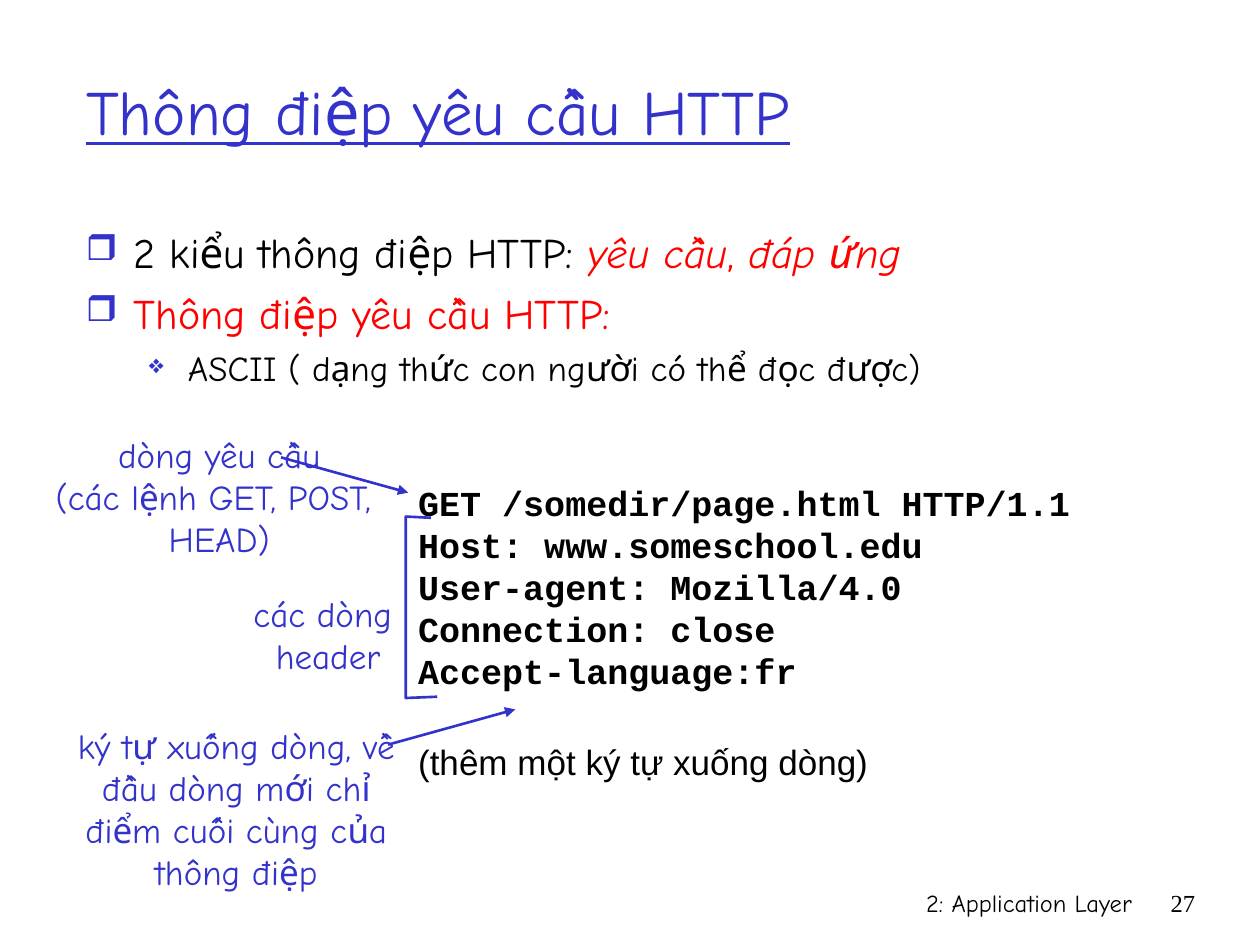
from dataclasses import dataclass
from typing import Optional

from lxml.etree import SubElement
from pptx import Presentation
from pptx.dml.color import RGBColor
from pptx.enum.shapes import MSO_CONNECTOR as Conn
from pptx.enum.text import MSO_ANCHOR as Anchor, MSO_AUTO_SIZE as Fit, PP_ALIGN as Align
from pptx.oxml.ns import qn
from pptx.util import Emu, Inches, Pt

COLS, ROWS = 120, 90
WIDTH, HEIGHT = Inches(10), Inches(7.5)
BLUE, RED, BLACK = "3333CC", "FF0000", "000000"
COMIC, MONO, SANS, SERIF = "Comic Neue", "Courier New", "Arial", "Times New Roman"


@dataclass
class Run:
    text: str
    size: int = 20
    font: str = COMIC
    color: str = BLUE
    bold: bool = False
    italic: bool = False
    underline: bool = False


@dataclass
class Bullet:
    char: str
    percent: int
    margin: float
    hang: float


@dataclass
class Para:
    runs: list[Run]
    align: Align = Align.LEFT
    before: float = 0
    bullet: Optional[Bullet] = None
    level: int = 0


@dataclass
class Box:
    left: float
    top: float
    width: float
    height: float
    paras: list[Para]
    wrap: bool = True
    grow: bool = False


def x(col: float) -> Emu:
    return Emu(round(WIDTH * col / COLS))


def y(row: float) -> Emu:
    return Emu(round(HEIGHT * row / ROWS))


def rgb(color: str) -> RGBColor:
    return RGBColor.from_string(color)


def add_bullet(p, bullet: Bullet) -> None:
    pPr = p._p.get_or_add_pPr()
    pPr.set("marL", str(Inches(bullet.margin)))
    pPr.set("indent", str(-Inches(bullet.hang)))
    SubElement(SubElement(pPr, qn("a:buClr")), qn("a:srgbClr"), val=BLUE)
    SubElement(pPr, qn("a:buSzPct"), val=str(bullet.percent * 1000))
    SubElement(pPr, qn("a:buChar"), char=bullet.char)


def fill_text(tf, paras: list[Para]) -> None:
    for i, para in enumerate(paras):
        p = tf.add_paragraph() if i else tf.paragraphs[0]
        p.alignment, p.level = para.align, para.level
        if para.bullet:
            add_bullet(p, para.bullet)
        if i and para.before:
            p.space_before = Pt(para.before)
        for run in para.runs:
            r = p.add_run()
            r.text = run.text
            f = r.font
            f.size, f.name, f.color.rgb = Pt(run.size), run.font, rgb(run.color)
            f.bold, f.italic, f.underline = run.bold, run.italic, run.underline


def add_box(s, box: Box) -> None:
    sp = s.shapes.add_textbox(x(box.left), y(box.top), x(box.width), y(box.height))
    tf = sp.text_frame
    tf.word_wrap = box.wrap
    tf.auto_size = Fit.SHAPE_TO_FIT_TEXT if box.grow else Fit.NONE
    fill_text(tf, box.paras)


def style_line(sp) -> None:
    sp.line.color.rgb, sp.line.width = rgb(BLUE), Pt(1.5)


def add_arrow(s, x1: float, y1: float, x2: float, y2: float) -> None:
    sp = s.shapes.add_connector(Conn.STRAIGHT, x(x1), y(y1), x(x2), y(y2))
    style_line(sp)
    SubElement(sp.line._get_or_add_ln(), qn("a:tailEnd"), type="triangle")
    SubElement(sp._element.spPr, qn("a:effectLst"))


def add_bracket(s, points: list[tuple[float, float]]) -> None:
    (x0, y0), *rest = [(x(col), y(row)) for col, row in points]
    builder = s.shapes.build_freeform(x0, y0)
    builder.add_line_segments(rest, close=False)
    sp = builder.convert_to_shape()
    sp.fill.background()
    sp.shadow.inherit = False
    style_line(sp)


def labels(lines: list[str], align: Align) -> list[Para]:
    return [Para([Run(line)], align) for line in lines]


SQUARE = Bullet("❒", 85, 0.38, 0.38)
DIAMOND = Bullet("❖", 75, 0.81, 0.31)
TITLE = [Para([Run("Thông điệp yêu cầu HTTP", 36, underline=True)])]
POINTS = [
    Para([Run("2 kiểu thông điệp HTTP: ", 24, color=BLACK),
          Run("yêu cầu", 24, color=RED, italic=True),
          Run(", ", 24, color=RED),
          Run("đáp ứng", 24, color=RED, italic=True)], bullet=SQUARE),
    Para([Run("Thông điệp yêu cầu HTTP:", 24, color=RED)], before=6, bullet=SQUARE),
    Para([Run("ASCII ( dạng thức con người có thể đọc được)", color=BLACK)],
         before=5, bullet=DIAMOND, level=1),
]
REQUEST = [
    "GET /somedir/page.html HTTP/1.1",
    "Host: www.someschool.edu",
    "User-agent: Mozilla/4.0",
    "Connection: close",
    "Accept-language:fr",
]
MESSAGE = [Para([Run(line, font=MONO, color=BLACK, bold=True)]) for line in REQUEST]
MESSAGE.append(Para([Run("(thêm một ký tự xuống dòng)", font=SANS, color=BLACK)], before=28))
BOXES = [
    Box(71, 84, 38, 6, [Para([Run("2: Application Layer", 14, color=BLACK)], Align.RIGHT)]),
    Box(109, 84, 6, 6, [Para([Run("27", 14, SERIF, BLACK)], Align.RIGHT)]),
    Box(7, 21, 102, 61, POINTS),
    Box(38.64, 45.24, 64.56, 30, MESSAGE, wrap=False, grow=True),
    Box(3.84, 40.68, 34.08, 13.2,
        labels(["dòng yêu cầu", "(các lệnh GET, POST, ", "HEAD)"], Align.CENTER),
        wrap=False, grow=True),
    Box(21.84, 55.8, 16.68, 9.24, labels(["các dòng ", "header "], Align.RIGHT),
        wrap=False, grow=True),
    Box(5.88, 68.4, 33.24, 17.28,
        labels(["ký tự xuống dòng, về đầu dòng mới chỉ điểm cuối cùng của thông điệp"],
               Align.CENTER), grow=True),
]
ARROWS = [(26.76, 43.56, 38.88, 46.92), (36.96, 70.92, 49.08, 67.56)]
BRACKET = [(41.04, 49.32), (38.64, 49.2), (38.64, 66.48), (41.64, 66.36)]


def main() -> None:
    prs = Presentation()
    prs.slide_width, prs.slide_height = WIDTH, HEIGHT
    s = prs.slides.add_slide(prs.slide_layouts[5])
    sp = s.shapes.title
    sp.left, sp.top, sp.width, sp.height = x(7), y(3), x(102), y(15)
    tf = sp.text_frame
    tf.vertical_anchor, tf.auto_size = Anchor.MIDDLE, Fit.NONE
    fill_text(tf, TITLE)
    for box in BOXES:
        add_box(s, box)
    for arrow in ARROWS:
        add_arrow(s, *arrow)
    add_bracket(s, BRACKET)
    prs.save("out.pptx")


if __name__ == "__main__":
    main()
